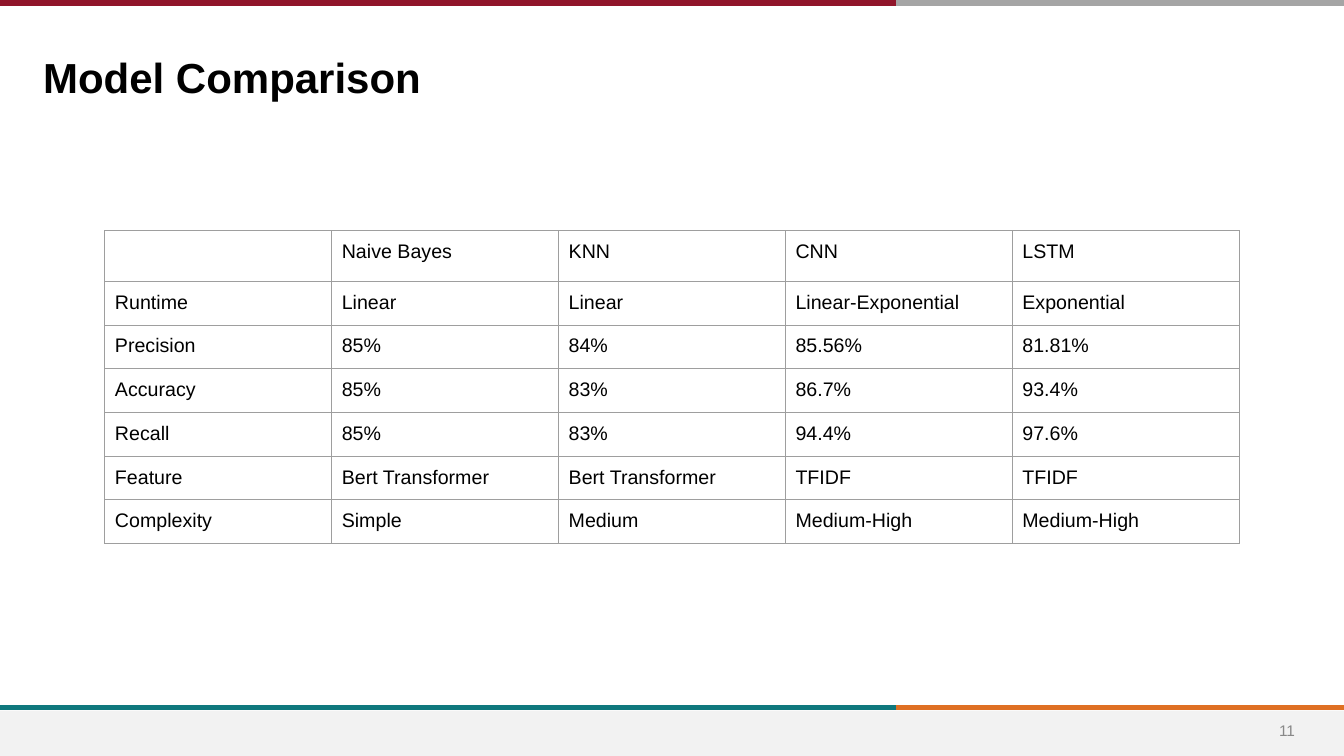
from dataclasses import dataclass
from typing import Any

from lxml.etree import SubElement
from pptx import Presentation
from pptx.dml.color import RGBColor
from pptx.enum.shapes import MSO_CONNECTOR as Connector, MSO_SHAPE as Preset
from pptx.enum.text import MSO_ANCHOR as Anchor, PP_ALIGN as Align
from pptx.oxml.ns import qn
from pptx.util import Inches, Pt

BLACK = RGBColor(0x00, 0x00, 0x00)
WHITE = RGBColor(0xFF, 0xFF, 0xFF)
CRIMSON = RGBColor(0x90, 0x15, 0x2A)
SILVER = RGBColor(0xA5, 0xA5, 0xA5)
TEAL = RGBColor(0x0F, 0x78, 0x7D)
ORANGE = RGBColor(0xDF, 0x70, 0x23)
FOOTER_GREY = RGBColor(0xF2, 0xF2, 0xF2)
NUMBER_GREY = RGBColor(0x88, 0x88, 0x88)
BORDER_GREY = RGBColor(0x9E, 0x9E, 0x9E)

SLIDE_WIDTH, SLIDE_HEIGHT = 13.33, 7.5
FOOTER_TOP = 7.05
STRIPE_SPLIT = 8.89
TABLE_LEFT, TABLE_TOP = 1.04, 2.29
COLUMN_WIDTH, HEADER_HEIGHT, ROW_HEIGHT = 2.25, 0.48, 0.42

COMPARISON = [
    ["", "Naive Bayes", "KNN", "CNN", "LSTM"],
    ["Runtime", "Linear", "Linear", "Linear-Exponential", "Exponential"],
    ["Precision", "85%", "84%", "85.56%", "81.81%"],
    ["Accuracy", "85%", "83%", "86.7%", "93.4%"],
    ["Recall", "85%", "83%", "94.4%", "97.6%"],
    ["Feature", "Bert Transformer", "Bert Transformer", "TFIDF", "TFIDF"],
    ["Complexity", "Simple", "Medium", "Medium-High", "Medium-High"],
]


@dataclass(frozen=True)
class Stripe:
    start: float
    end: float
    y: float
    color: RGBColor


@dataclass(frozen=True)
class TextStyle:
    size: float
    color: RGBColor
    bold: bool = False
    align: Align = Align.LEFT


@dataclass(frozen=True)
class Label:
    text: str
    left: float
    top: float
    width: float
    height: float
    anchor: Anchor
    style: TextStyle


STRIPES = [
    Stripe(STRIPE_SPLIT, SLIDE_WIDTH, 7.02, ORANGE),
    Stripe(0, STRIPE_SPLIT, 7.02, TEAL),
    Stripe(STRIPE_SPLIT, SLIDE_WIDTH, 0.03, SILVER),
    Stripe(0, STRIPE_SPLIT, 0.03, CRIMSON),
]
LABELS = [
    Label("11", 12.42, FOOTER_TOP, 0.69, 0.4, Anchor.MIDDLE,
          TextStyle(11, NUMBER_GREY, align=Align.CENTER)),
    Label("Model Comparison", 0.33, 0.46, 10.65, 0.59, Anchor.TOP,
          TextStyle(30, BLACK, bold=True)),
]
CELL_STYLE = TextStyle(14, BLACK)


def apply_format(target: Any, values: dict[str, Any]) -> None:
    for name, value in values.items():
        setattr(target, name, value)


def write_text(frame: Any, text: str, style: TextStyle) -> None:
    para = frame.paragraphs[0]
    para.alignment = style.align
    span = para.add_run()
    span.text = text
    apply_format(span.font, {"name": "Arial", "size": Pt(style.size), "bold": style.bold})
    span.font.color.rgb = style.color


def draw_footer(page: Any) -> None:
    band = page.shapes.add_shape(
        Preset.RECTANGLE, 0, Inches(FOOTER_TOP),
        Inches(SLIDE_WIDTH), Inches(SLIDE_HEIGHT - FOOTER_TOP))
    band.shadow.inherit = False
    band.fill.solid()
    band.fill.fore_color.rgb = FOOTER_GREY
    band.line.fill.background()


def draw_stripe(page: Any, stripe: Stripe) -> None:
    line = page.shapes.add_connector(
        Connector.STRAIGHT, Inches(stripe.start), Inches(stripe.y),
        Inches(stripe.end), Inches(stripe.y))
    line.line.width = Pt(4)
    line.line.color.rgb = stripe.color
    SubElement(line._element.spPr, qn("a:effectLst"))


def draw_label(page: Any, label: Label) -> None:
    box = page.shapes.add_textbox(
        Inches(label.left), Inches(label.top), Inches(label.width), Inches(label.height))
    apply_format(box.text_frame, {"word_wrap": True, "vertical_anchor": label.anchor})
    write_text(box.text_frame, label.text, label.style)


def add_borders(cell: Any) -> None:
    properties = cell._tc.get_or_add_tcPr()
    for side in ("lnL", "lnR", "lnT", "lnB"):
        border = SubElement(properties, qn(f"a:{side}"), w=str(Pt(0.75)))
        fill = SubElement(border, qn("a:solidFill"))
        SubElement(fill, qn("a:srgbClr"), val=str(BORDER_GREY))


def draw_table(page: Any, rows: list[list[str]]) -> None:
    heights = [HEADER_HEIGHT] + [ROW_HEIGHT] * (len(rows) - 1)
    column_count = len(rows[0])
    table = page.shapes.add_table(
        len(rows), column_count, Inches(TABLE_LEFT), Inches(TABLE_TOP),
        Inches(COLUMN_WIDTH * column_count), Inches(sum(heights))).table
    apply_format(table, {"first_row": False, "horz_banding": False})
    for column in table.columns:
        column.width = Inches(COLUMN_WIDTH)
    for row, height, texts in zip(table.rows, heights, rows):
        row.height = Inches(height)
        for cell, text in zip(row.cells, texts):
            apply_format(cell, {"margin_top": Inches(0.1), "margin_bottom": Inches(0.1)})
            add_borders(cell)
            cell.fill.solid()
            cell.fill.fore_color.rgb = WHITE
            if text:
                write_text(cell.text_frame, text, CELL_STYLE)


def main() -> None:
    deck = Presentation()
    apply_format(deck, {"slide_width": Inches(SLIDE_WIDTH), "slide_height": Inches(SLIDE_HEIGHT)})
    page = deck.slides.add_slide(deck.slide_layouts[6])
    draw_footer(page)
    for stripe in STRIPES:
        draw_stripe(page, stripe)
    for label in LABELS:
        draw_label(page, label)
    draw_table(page, COMPARISON)
    deck.save("out.pptx")


if __name__ == "__main__":
    main()
